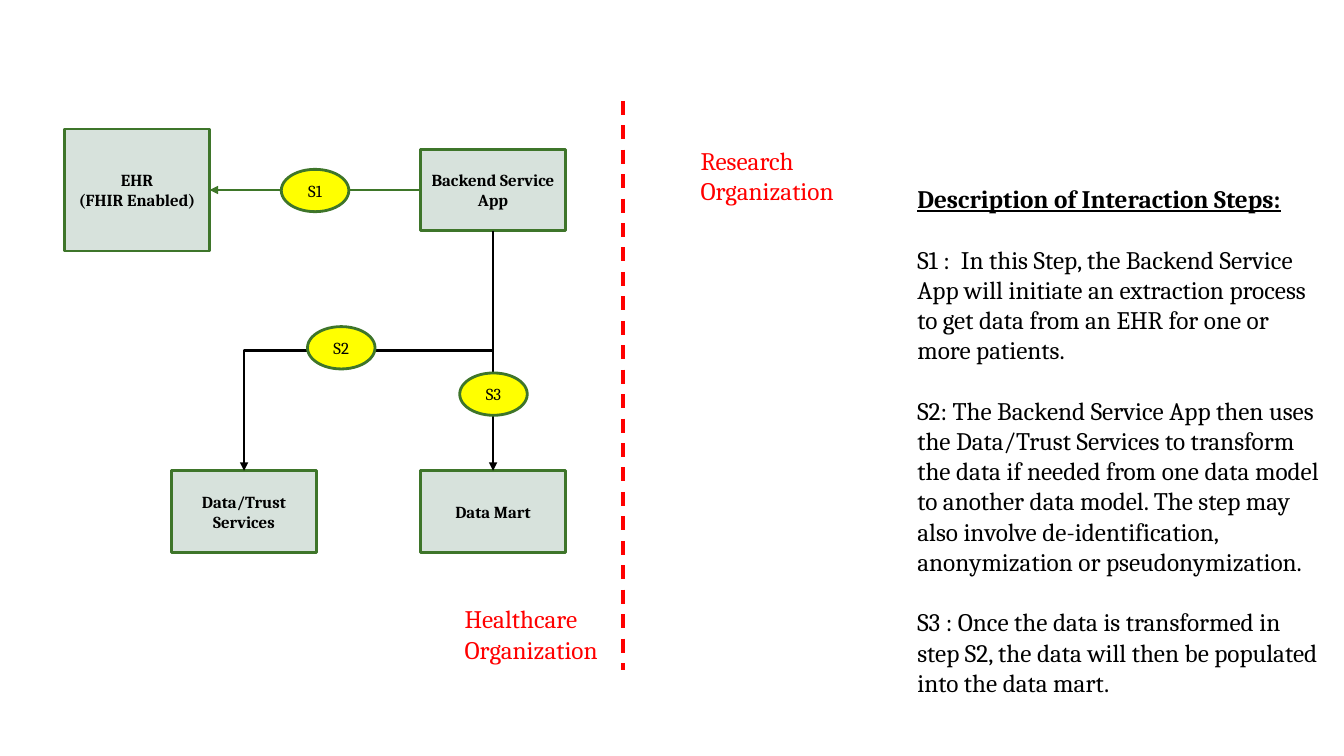
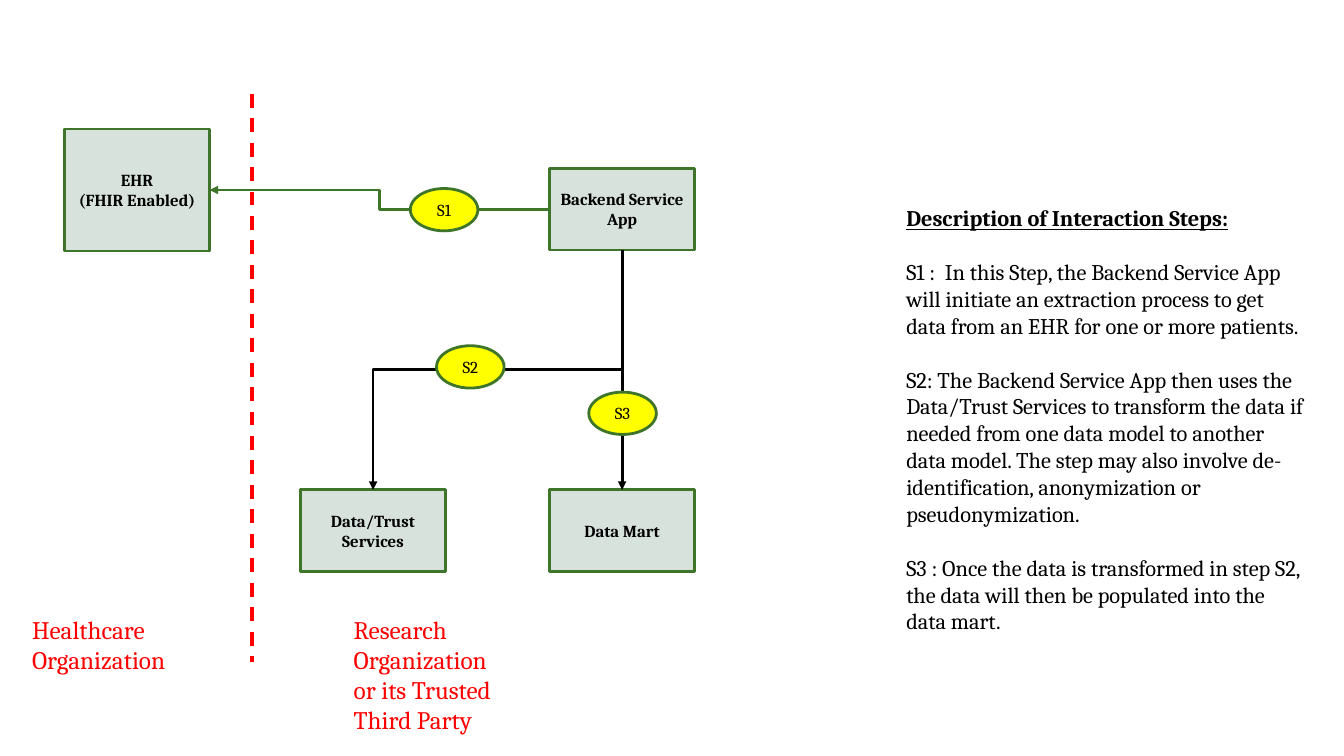
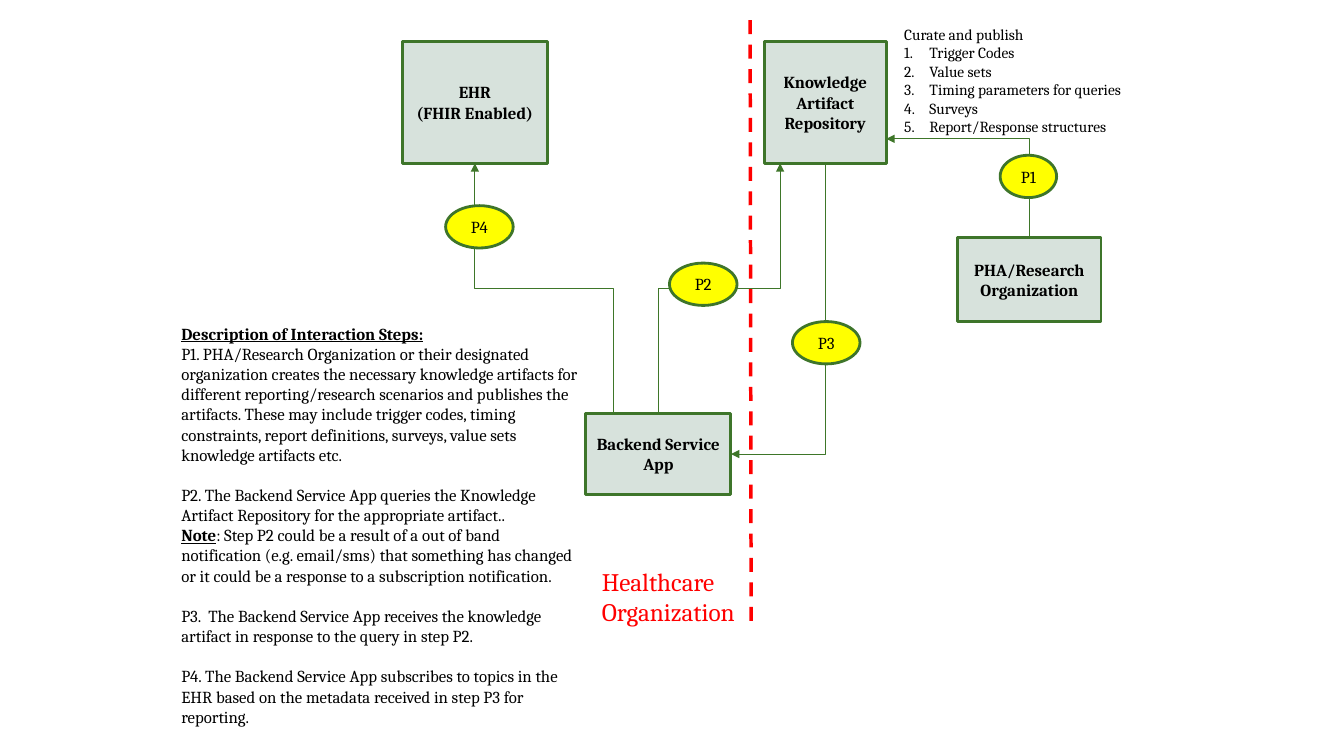
import dataclasses

import pptx
import pptx.dml.color
import pptx.enum.dml
import pptx.enum.shapes
import pptx.enum.text
import pptx.oxml
import pptx.oxml.ns
import pptx.util

Inches = pptx.util.Inches
Pt = pptx.util.Pt
qn = pptx.oxml.ns.qn
SHAPE = pptx.enum.shapes.MSO_SHAPE
CONNECTOR = pptx.enum.shapes.MSO_CONNECTOR
ALIGN = pptx.enum.text.PP_ALIGN


@dataclasses.dataclass(frozen=True)
class Theme:
    font: str = "Cambria"
    ink: str = "000000"
    node_fill: str = "D7E2DC"
    marker_fill: str = "FFFF00"
    outline: str = "3E752A"
    flow: str = "3E7629"
    boundary: str = "FF0000"
    label_size: int = 12
    note_size: int = 11
    organization_size: int = 18
    line_height: float = 1.2
    outline_width: float = 2
    thin_width: float = 0.75
    boundary_width: float = 2.5


THEME = Theme()
NODE_WIDTH, NODE_HEIGHT, EHR_HEIGHT = 1.44, 0.81, 1.21
EHR_LINES = ["EHR", "(FHIR Enabled)"]
APP_LINES = ["Backend Service", "App"]
HEALTHCARE = "Healthcare Organization"
HEADING = [("Description of Interaction Steps:", True)]

# Each description paragraph: (space above?, [(text, emphasised?), ...])
EXTRACTION_STEPS = [
    (False, HEADING),
    (True, [("S1 :  In this Step, the Backend Service App will initiate an "
             "extraction process to get data from an EHR for one or more "
             "patients.", False)]),
    (True, [("S2: The Backend Service App then uses the Data/Trust Services to "
             "transform the data if needed from one data model to another data "
             "model. The step may also involve de-identification, "
             "anonymization or pseudonymization.", False)]),
    (True, [("S3 : Once the data is transformed in step S2, the data will then "
             "be populated into the data mart.", False)]),
]
PUBLISHING_STEPS = [
    (False, HEADING),
    (False, [("P1. PHA/Research Organization or their designated organization "
              "creates the necessary knowledge artifacts for different "
              "reporting/research scenarios and publishes the artifacts. These "
              "may include trigger codes, timing constraints, report "
              "definitions, surveys, value sets knowledge artifacts etc.",
              False)]),
    (True, [("P2. The Backend Service App queries the Knowledge Artifact "
             "Repository for the appropriate artifact..", False)]),
    (False, [("Note", True),
             (": Step P2 could be a result of a out of band notification (e.g. "
              "email/sms) that something has changed or it could be a response "
              "to a subscription notification.", False)]),
    (True, [("P3.  The Backend Service App receives the knowledge artifact in "
             "response to the query in step P2.", False)]),
    (True, [("P4. The Backend Service App subscribes to topics in the EHR based "
             "on the metadata received in step P3 for reporting.", False)]),
]
CURATED = ["Trigger Codes", "Value sets", "Timing parameters for queries",
           "Surveys", "Report/Response structures"]


def rgb(value):
    return pptx.dml.color.RGBColor.from_string(value)


def apply(target, values):
    for name, value in values.items():
        setattr(target, name, value)


# Text
def add_para(frame, first, spans, size, color=THEME.ink, **para_format):
    para = frame.paragraphs[0] if first else frame.add_paragraph()
    apply(para, para_format)
    for text, font_format in spans:
        span = para.add_run()
        span.text = text
        apply(span.font, {"name": THEME.font, "size": Pt(size), **font_format})
        span.font.color.rgb = rgb(color)
    return para


def add_text_box(page, left, top, width, height):
    box = page.shapes.add_textbox(*map(Inches, (left, top, width, height)))
    apply(box.text_frame, {
        "word_wrap": True,
        "auto_size": pptx.enum.text.MSO_AUTO_SIZE.SHAPE_TO_FIT_TEXT})
    return box.text_frame


def add_organization(page, text, left, top, height=0.71):
    frame = add_text_box(page, left, top, 1.71, height)
    add_para(frame, True, [(text, {})], THEME.organization_size, THEME.boundary)


def add_description(page, steps, left, top, height, size):
    frame = add_text_box(page, left, top, 4.19, height)
    for index, (gap, spans) in enumerate(steps):
        styled = [(text, {"bold": strong, "underline": strong})
                  for text, strong in spans]
        add_para(frame, index == 0, styled, size,
                 space_before=Pt(size * THEME.line_height if gap else 0))


def add_curated_list(page, left, top):
    frame = add_text_box(page, left, top, 2.64, 1.4)
    add_para(frame, True, [("Curate and publish", {})], THEME.note_size)
    for item in CURATED:
        para = add_para(frame, False, [(item, {})], THEME.note_size)
        properties = para._p.get_or_add_pPr()
        properties.set("marL", str(Inches(0.25)))
        properties.set("indent", str(-Inches(0.25)))
        numbering = pptx.oxml.parse_xml(
            f'<a:buAutoNum {pptx.oxml.ns.nsdecls("a")} type="arabicPeriod"/>')
        properties.append(numbering)


# Nodes and step markers
def add_box(page, kind, lines, at, fill, bold):
    box = page.shapes.add_shape(kind, *map(Inches, at))
    box.shadow.inherit = False
    box.fill.solid()
    box.fill.fore_color.rgb = rgb(fill)
    box.line.color.rgb = rgb(THEME.outline)
    box.line.width = Pt(THEME.outline_width)
    apply(box.text_frame, {
        "word_wrap": True,
        "vertical_anchor": pptx.enum.text.MSO_ANCHOR.MIDDLE})
    for index, line in enumerate(lines):
        add_para(box.text_frame, index == 0, [(line, {"bold": bold})],
                 THEME.label_size, alignment=ALIGN.CENTER)
    return box


def add_node(page, lines, left, top, width=NODE_WIDTH, height=NODE_HEIGHT):
    return add_box(page, SHAPE.RECTANGLE, lines, (left, top, width, height),
                   THEME.node_fill, True)


def add_marker(page, label, left, top, width=0.67):
    add_box(page, SHAPE.OVAL, [label], (left, top, width, 0.42),
            THEME.marker_fill, False)


# Lines
def anchor(box, across, down):
    """Point on a box, given as fractions of its width and height."""
    return (round(box.left + box.width * across),
            round(box.top + box.height * down))


def add_line(page, kind, start, end, color, width):
    line = page.shapes.add_connector(kind, *start, *end)
    line.line.color.rgb = rgb(color)
    line.line.width = Pt(width)
    pptx.oxml.ns  # namespace helpers serve the effect list below
    line.element.spPr.append(pptx.oxml.parse_xml(
        f'<a:effectLst {pptx.oxml.ns.nsdecls("a")}/>'))
    return line


def add_arrow(page, start, end, color=THEME.flow, width=THEME.outline_width):
    """Elbow arrow that leaves its start sideways."""
    arrow = add_line(page, CONNECTOR.ELBOW, start, end, color, width)
    arrow.element.spPr.find(qn("a:ln")).append(pptx.oxml.parse_xml(
        f'<a:tailEnd {pptx.oxml.ns.nsdecls("a")} type="triangle"/>'))
    return arrow


def add_upright_arrow(page, start, end, color=THEME.flow,
                      width=THEME.thin_width, single_bend=False):
    """Elbow arrow that leaves its start up or down: a quarter-turned elbow."""
    (x1, y1), (x2, y2) = start, end
    half_length, half_breadth = abs(y2 - y1) // 2, abs(x2 - x1) // 2
    middle_x, middle_y = (x1 + x2) // 2, (y1 + y2) // 2
    downward = y2 > y1
    flipped = x2 > x1 if downward else x2 < x1
    rise = -half_breadth if flipped else half_breadth
    arrow = add_arrow(page, (middle_x - half_length, middle_y - rise),
                      (middle_x + half_length, middle_y + rise), color, width)
    properties = arrow.element.spPr
    properties.find(qn("a:xfrm")).set("rot", str((90 if downward else 270) * 60000))
    if single_bend:
        properties.find(qn("a:prstGeom")).set("prst", "bentConnector2")


def add_boundary(page, x, top, bottom, drift=0):
    line = add_line(page, CONNECTOR.STRAIGHT, (Inches(x), Inches(top)),
                    (Inches(x + drift), Inches(bottom)),
                    THEME.boundary, THEME.boundary_width)
    line.line.dash_style = pptx.enum.dml.MSO_LINE.DASH


# Slides
def add_page(deck):
    return deck.slides.add_slide(deck.slide_layouts.get_by_name("Blank"))


def add_extraction_flow(page, left, top):
    """EHR stays in place; the rest is laid out from the app's corner."""
    ehr = add_node(page, EHR_LINES, 0.64, 1.28, height=EHR_HEIGHT)
    app = add_node(page, APP_LINES, left, top)
    services = add_node(page, ["Data/Trust Services"], left - 2.47, top + 3.19)
    mart = add_node(page, ["Data Mart"], left, top + 3.19)
    add_arrow(page, anchor(app, 0, 0.5), anchor(ehr, 1, 0.5))
    for target in (services, mart):
        add_upright_arrow(page, anchor(app, 0.5, 1), anchor(target, 0.5, 0),
                          THEME.ink, THEME.outline_width)
    for label, across, down in (("S1", -1.38, 0.2), ("S2", -1.12, 1.76),
                                ("S3", 0.39, 2.22)):
        add_marker(page, label, left + across, top + down)


def build_healthcare_hosted(deck):
    page = add_page(deck)
    add_extraction_flow(page, 4.17, 1.48)
    add_boundary(page, 6.18, 1, 6.65)
    add_organization(page, HEALTHCARE, 4.51, 5.94)
    add_organization(page, "Research Organization", 6.85, 1.39)
    add_description(page, EXTRACTION_STEPS, 9, 1.77, 5.55, 18)


def build_research_hosted(deck):
    page = add_page(deck)
    add_extraction_flow(page, 5.45, 1.67)
    add_boundary(page, 2.5, 0.93, 6.57)
    add_organization(page, HEALTHCARE, 0.22, 6.04)
    add_organization(page, "Research Organization or its Trusted Third Party",
                     3.41, 6.04, 1.31)
    add_description(page, EXTRACTION_STEPS, 8.89, 1.98, 4.68, 16)


def build_knowledge_publishing(deck):
    page = add_page(deck)
    ehr = add_node(page, EHR_LINES, 3.99, 0.41, height=EHR_HEIGHT)
    repository = add_node(page, ["Knowledge Artifact Repository"], 7.58, 0.41,
                          1.21, EHR_HEIGHT)
    app = add_node(page, APP_LINES, 5.81, 4.1)
    agency = add_node(page, ["PHA/Research Organization"], 9.5, 2.36, 1.42, 0.83)

    add_upright_arrow(page, anchor(agency, 0.5, 0), anchor(repository, 1, 0.8),
                      single_bend=True)
    add_upright_arrow(page, anchor(app, 0.5, 0), anchor(repository, 0.13, 1))
    add_upright_arrow(page, anchor(repository, 0.5, 1), anchor(app, 1, 0.5),
                      single_bend=True)
    add_upright_arrow(page, anchor(app, 0.19, 0), anchor(ehr, 0.5, 1))

    add_boundary(page, 7.44, 0.2, 6.26, 0.01)
    add_marker(page, "P1", 9.92, 1.54, 0.56)
    add_marker(page, "P2", 6.64, 2.61)
    add_marker(page, "P3", 7.86, 3.19)
    add_marker(page, "P4", 4.42, 2.04)
    add_curated_list(page, 8.87, 0.2)
    add_organization(page, HEALTHCARE, 5.87, 5.57)
    add_description(page, PUBLISHING_STEPS, 1.7, 3.16, 4.34, THEME.label_size)


def main():
    deck = pptx.Presentation()
    apply(deck, {"slide_width": Inches(13.33), "slide_height": Inches(7.5)})
    build_healthcare_hosted(deck)
    build_research_hosted(deck)
    build_knowledge_publishing(deck)
    deck.save("out.pptx")


main()
